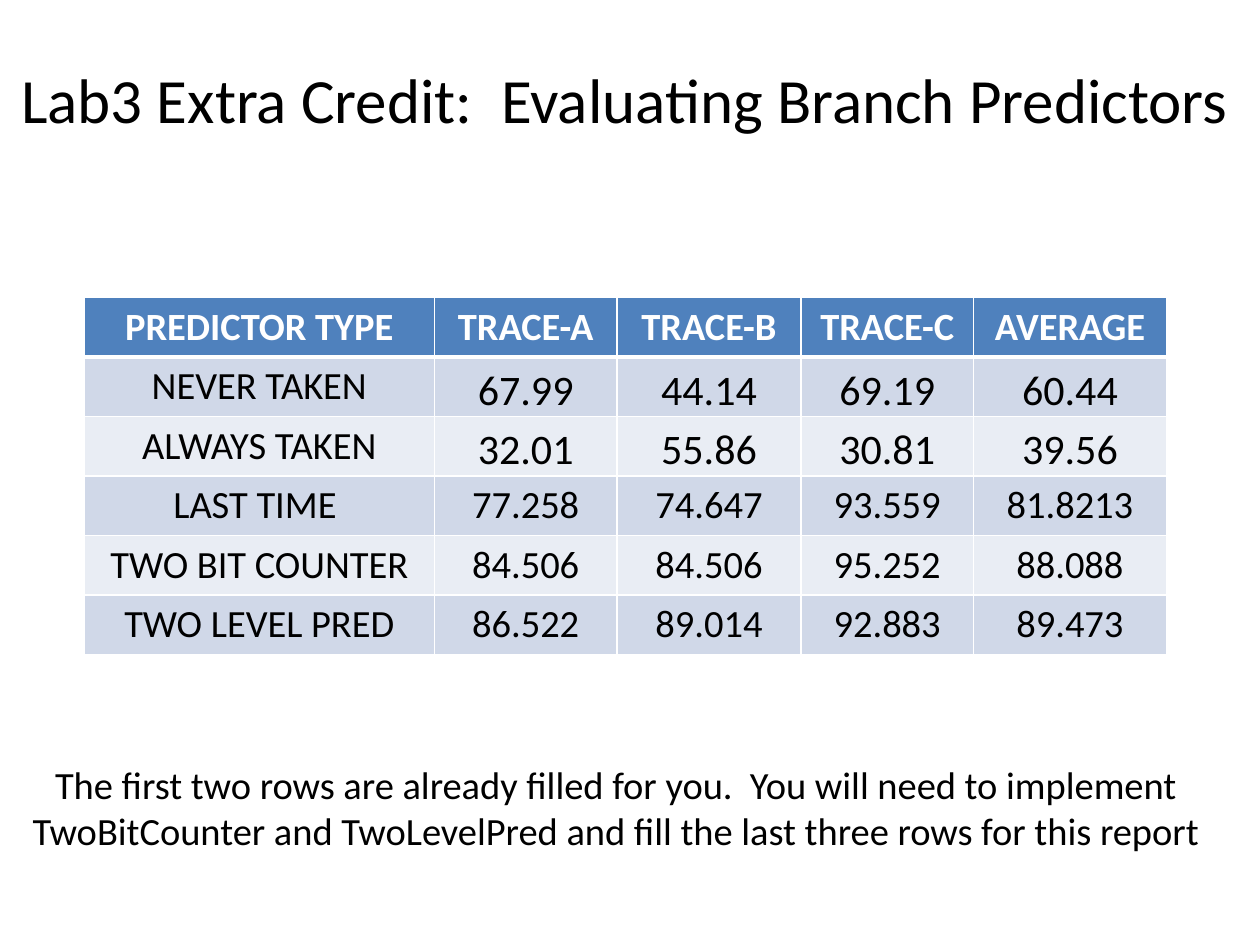
from lxml import etree
from pptx import Presentation
from pptx import util as u
from pptx.dml.color import RGBColor
from pptx.enum import text
from pptx.oxml import ns

Pt = u.Pt
FONT = "Calibri"
COLOURS = {"black": "000000", "white": "FFFFFF", "header": "4F81BD",
           "odd": "D0D8E8", "even": "E9EDF4"}

TITLE = ["Lab3 Extra Credit:  Evaluating Branch Predictors "]
NOTE = ["The first two rows are already filled for you.  You will need to implement",
        "TwoBitCounter and TwoLevelPred and fill the last three rows for this report"]
RESULTS = [
    ("PREDICTOR TYPE", "TRACE-A", "TRACE-B", "TRACE-C", "AVERAGE"),
    ("NEVER TAKEN", "67.99", "44.14", "69.19", "60.44"),
    ("ALWAYS TAKEN", "32.01", "55.86", "30.81", "39.56"),
    ("LAST TIME ", "77.258", "74.647", "93.559", "81.8213"),
    ("TWO BIT COUNTER", "84.506", "84.506", "95.252", "88.088"),
    ("TWO LEVEL PRED", "86.522", "89.014", "92.883", "89.473"),
]
GIVEN_ROWS = (1, 2)
COLUMN_WIDTHS = (200, 104.5, 105, 98.7, 110.2)
ROW_HEIGHT = 33.6
TABLE_LEFT, TABLE_TOP = 48.2, 170


def write(frame, lines, size=22, colour="black", bold=False, align="CENTER"):
    """Fill a text frame with one formatted paragraph per line."""
    for index, line in enumerate(lines):
        paragraph = frame.paragraphs[0] if index == 0 else frame.add_paragraph()
        paragraph.alignment = getattr(text.PP_ALIGN, align)
        run = paragraph.add_run()
        run.text = line
        run.font.name = FONT
        run.font.size = Pt(size)
        run.font.bold = bold
        run.font.color.rgb = RGBColor.from_string(COLOURS[colour])


def add_text(slide, lines, left, top, width, height, **style):
    """Add an unwrapped text box that grows with its text."""
    frame = slide.shapes.add_textbox(Pt(left), Pt(top), Pt(width), Pt(height)).text_frame
    frame.word_wrap = False
    frame.auto_size = text.MSO_AUTO_SIZE.SHAPE_TO_FIT_TEXT
    write(frame, lines, **style)


def add_borders(cell, top=1, bottom=1):
    """Give a cell white borders of the given widths."""
    properties = cell._tc.get_or_add_tcPr()
    for side, width in (("L", 1), ("R", 1), ("T", top), ("B", bottom)):
        line = etree.SubElement(properties, ns.qn("a:ln" + side), w=str(Pt(width)))
        fill = etree.SubElement(line, ns.qn("a:solidFill"))
        etree.SubElement(fill, ns.qn("a:srgbClr"), val=COLOURS["white"])


def format_cell(cell, value, row, column):
    """Write and style one cell by its place in the table."""
    header = row == 0
    given = row in GIVEN_ROWS and column > 0
    add_borders(cell, top=3 if row == 1 else 1, bottom=3 if header else 1)
    cell.fill.solid()
    band = "header" if header else "odd" if row % 2 else "even"
    cell.fill.fore_color.rgb = RGBColor.from_string(COLOURS[band])
    if given:
        cell.vertical_anchor = text.MSO_ANCHOR.BOTTOM
        cell.margin_left = cell.margin_right = cell.margin_top = Pt(0.75)
        cell.margin_bottom = Pt(0)
    write(cell.text_frame, [value], size=24 if given else 22,
          colour="white" if header else "black", bold=header)


def add_results(slide):
    """Add the table of predictor results."""
    table = slide.shapes.add_table(
        len(RESULTS), len(COLUMN_WIDTHS), Pt(TABLE_LEFT), Pt(TABLE_TOP),
        Pt(sum(COLUMN_WIDTHS)), Pt(ROW_HEIGHT * len(RESULTS))).table
    for column, width in zip(table.columns, COLUMN_WIDTHS):
        column.width = Pt(width)
    for row, values in enumerate(RESULTS):
        table.rows[row].height = Pt(ROW_HEIGHT)
        for column, value in enumerate(values):
            format_cell(table.cell(row, column), value, row, column)


presentation = Presentation()
presentation.slide_width, presentation.slide_height = Pt(720), Pt(540)
slide = presentation.slides.add_slide(presentation.slide_layouts[6])
add_results(slide)
add_text(slide, TITLE, 5, 31, 716.4, 51, size=36, align="LEFT")
add_text(slide, NOTE, 5, 431.3, 694, 60.5)
presentation.save("out.pptx")
